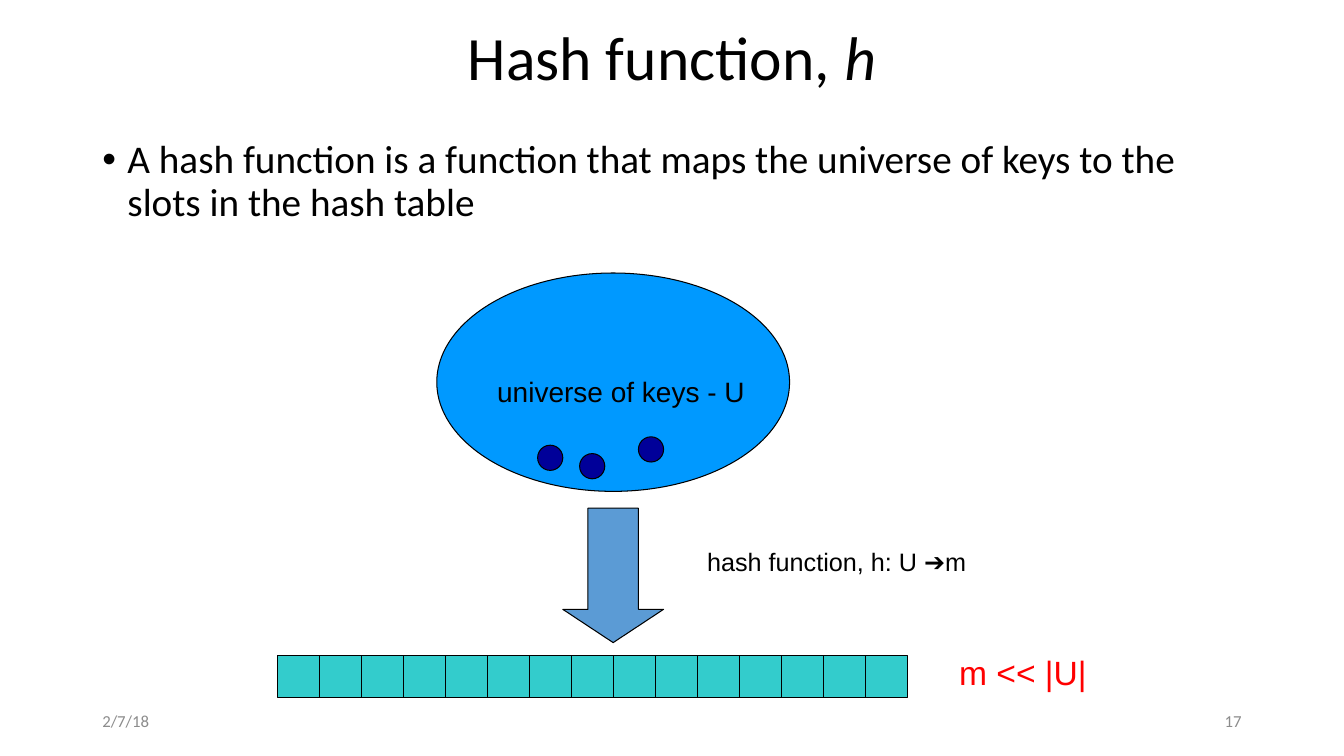
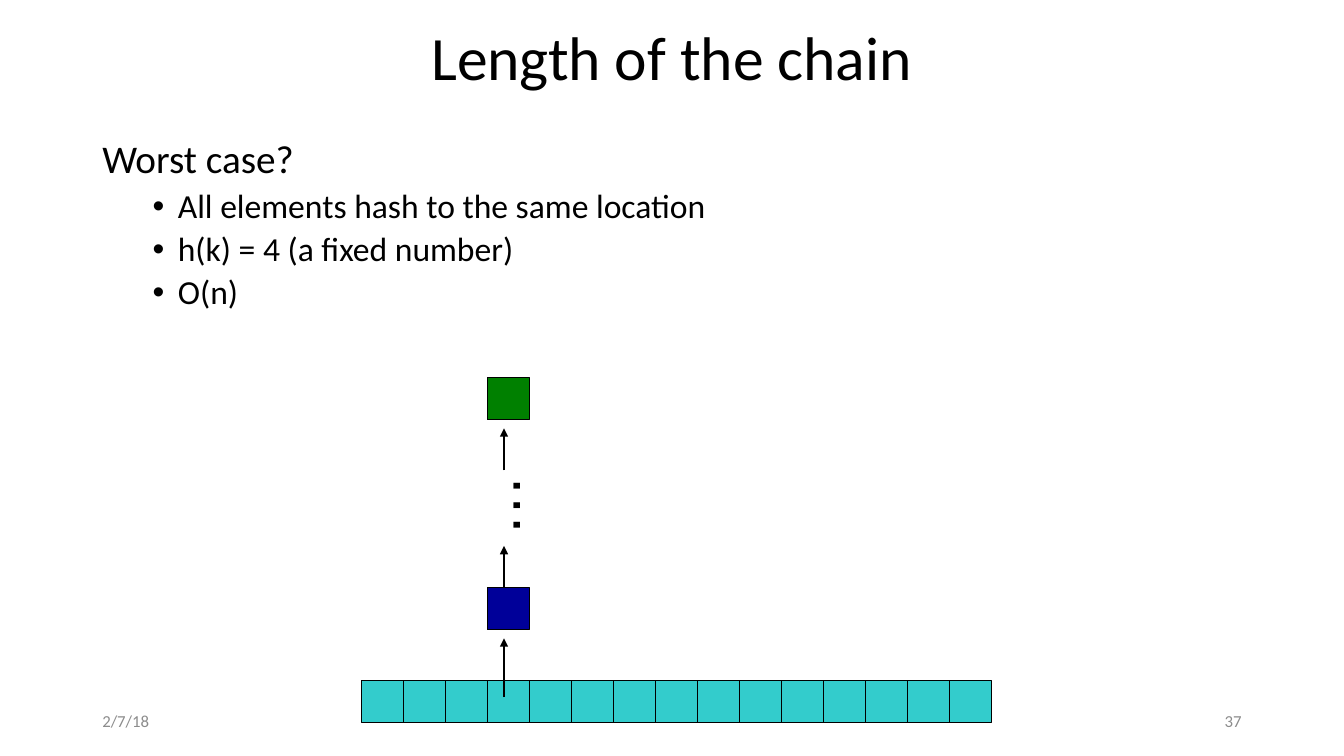
from lxml.etree import SubElement
from pptx import Presentation
from pptx.dml.color import RGBColor
from pptx.enum.shapes import MSO_CONNECTOR as Connector, MSO_SHAPE as Shape
from pptx.enum.text import MSO_ANCHOR as Anchor, PP_ALIGN as Align
from pptx.oxml.ns import qn
from pptx.util import Pt

BLACK = RGBColor(0x00, 0x00, 0x00)
GRAY = RGBColor(0x8C, 0x8C, 0x8C)
RED = RGBColor(0xFF, 0x00, 0x00)
GREEN = RGBColor(0x00, 0x80, 0x00)
NAVY = RGBColor(0x00, 0x00, 0x99)
SKY = RGBColor(0x00, 0x99, 0xFF)
STEEL = RGBColor(0x5B, 0x9B, 0xD5)
TEAL = RGBColor(0x33, 0xCC, 0xCC)

THEME_FONT, LABEL_FONT = "Calibri", "Arial"
MARGIN, CONTENT_WIDTH = 66, 828
SLOT, SLOT_COUNT = 30, 15
HANG = 18


def write(paragraph, text, size=28, font=THEME_FONT, color=BLACK, italic=None,
          align=None, line=None, before=None, level=0, bullet_at=None):
    """Add text to a paragraph; bullet_at is the left edge of bulleted text."""
    paragraph.level = level
    if align is not None:
        paragraph.alignment = align
    if line is not None:
        paragraph.line_spacing = line
    if before is not None:
        paragraph.space_before = Pt(before)
    if bullet_at is not None:
        properties = paragraph._p.get_or_add_pPr()
        properties.set("marL", str(Pt(bullet_at)))
        properties.set("indent", str(-Pt(HANG)))
        SubElement(properties, qn("a:buFont"), typeface=LABEL_FONT)
        SubElement(properties, qn("a:buChar"), char="•")
    run = paragraph.add_run()
    run.text = text
    run.font.size = Pt(size)
    run.font.name = font
    run.font.color.rgb = color
    run.font.italic = italic


class Deck:
    def __init__(self):
        self.file = Presentation()
        self.file.slide_width, self.file.slide_height = Pt(960), Pt(540)
        self.slide = None

    def new_slide(self, title, number, symbol=None):
        self.slide = self.file.slides.add_slide(self.file.slide_layouts[6])
        # Title, with an optional italic symbol at its end
        heading = self.box(MARGIN, 7, CONTENT_WIDTH, 73, Anchor.MIDDLE).paragraphs[0]
        write(heading, title, size=44, align=Align.CENTER, line=0.9)
        if symbol:
            write(heading, symbol, size=44, italic=True, align=Align.CENTER)
        # Date and slide number
        for left, text, align in ((MARGIN, "2/7/18", Align.LEFT),
                                  (678, number, Align.RIGHT)):
            footer = self.box(left, 500.5, 216, 28.75, Anchor.MIDDLE)
            write(footer.paragraphs[0], text, size=12, color=GRAY, align=align)

    def box(self, left, top, width, height, anchor=Anchor.TOP, rotation=0):
        holder = self.slide.shapes.add_textbox(Pt(left), Pt(top), Pt(width), Pt(height))
        holder.rotation = rotation
        frame = holder.text_frame
        frame.word_wrap = True
        frame.vertical_anchor = anchor
        return frame

    def body(self, lead, points=(), bullet_at=None):
        frame = self.box(MARGIN, 96.5, CONTENT_WIDTH, 390)
        write(frame.paragraphs[0], lead, line=0.9, bullet_at=bullet_at)
        for point in points:
            write(frame.add_paragraph(), point, size=24, line=0.9, before=5,
                  level=1, bullet_at=54)

    def label(self, text, left, top, width, height, rotation=0, **style):
        frame = self.box(left, top, width, height, rotation=rotation)
        write(frame.paragraphs[0], text, font=LABEL_FONT, **style)

    def shape(self, kind, left, top, width, height, fill, parent=None):
        figure = (parent or self.slide).shapes.add_shape(
            kind, Pt(left), Pt(top), Pt(width), Pt(height))
        figure.shadow.inherit = False
        figure.fill.solid()
        figure.fill.fore_color.rgb = fill
        figure.line.color.rgb = BLACK
        figure.line.width = Pt(0.75)
        return figure

    def line(self, x, start, end, arrow=False, parent=None):
        """Draw a vertical line, with an arrowhead at its end if asked."""
        stroke = (parent or self.slide).shapes.add_connector(
            Connector.STRAIGHT, Pt(x), Pt(start), Pt(x), Pt(end))
        stroke.line.color.rgb = BLACK
        stroke.line.width = Pt(0.75)
        properties = stroke._element.spPr
        if arrow:
            SubElement(properties.find(qn("a:ln")), qn("a:tailEnd"), type="triangle")
        SubElement(properties, qn("a:effectLst"))

    def hash_table(self, left, top):
        table = self.slide.shapes.add_group_shape()
        self.shape(Shape.RECTANGLE, left, top, SLOT * SLOT_COUNT, SLOT, TEAL, table)
        for slot in range(1, SLOT_COUNT):
            self.line(left + slot * SLOT, top, top + SLOT, parent=table)


def hash_function(deck):
    deck.new_slide("Hash function, ", "17", symbol="h")
    deck.body("A hash function is a function that maps the universe of keys "
              "to the slots in the hash table", bullet_at=HANG)
    # Universe of keys
    deck.shape(Shape.OVAL, 312, 195, 252, 156, SKY)
    deck.label("universe of keys - U", 348, 264, 198, 31, size=20)
    for left, top in ((384, 318), (414, 324), (456, 312)):
        deck.shape(Shape.OVAL, left, top, 18, 18, NAVY)
    # Mapping to the table
    mapping = deck.shape(Shape.DOWN_ARROW, 402, 363, 72, 96, STEEL)
    mapping.adjustments[0], mapping.adjustments[1] = 0.5, 0.33
    deck.label("hash function, h: U ➔m", 498, 387, 276, 62, size=18)
    deck.hash_table(198, 468)
    deck.label("m << |U|", 678, 462, 162, 36, size=24, color=RED)


def chain_length(deck):
    deck.new_slide("Length of the chain", "37")
    deck.body("Worst case?", ("All elements hash to the same location",
                              "h(k) = 4 (a fixed number)", "O(n)"))
    # Chain above the fourth slot
    table_left = 258
    chain_left = table_left + 3 * SLOT
    deck.hash_table(table_left, 486)
    for top, color in ((420, NAVY), (270, GREEN)):
        deck.shape(Shape.RECTANGLE, chain_left, top, SLOT, SLOT, color)
    for start, end in ((498, 456), (420, 390), (336, 306)):
        deck.line(chain_left + 12, start, end, arrow=True)
    deck.label("…", 318, 324, 72, 60, rotation=270, size=44)


def main():
    deck = Deck()
    hash_function(deck)
    chain_length(deck)
    deck.file.save("out.pptx")


if __name__ == "__main__":
    main()
